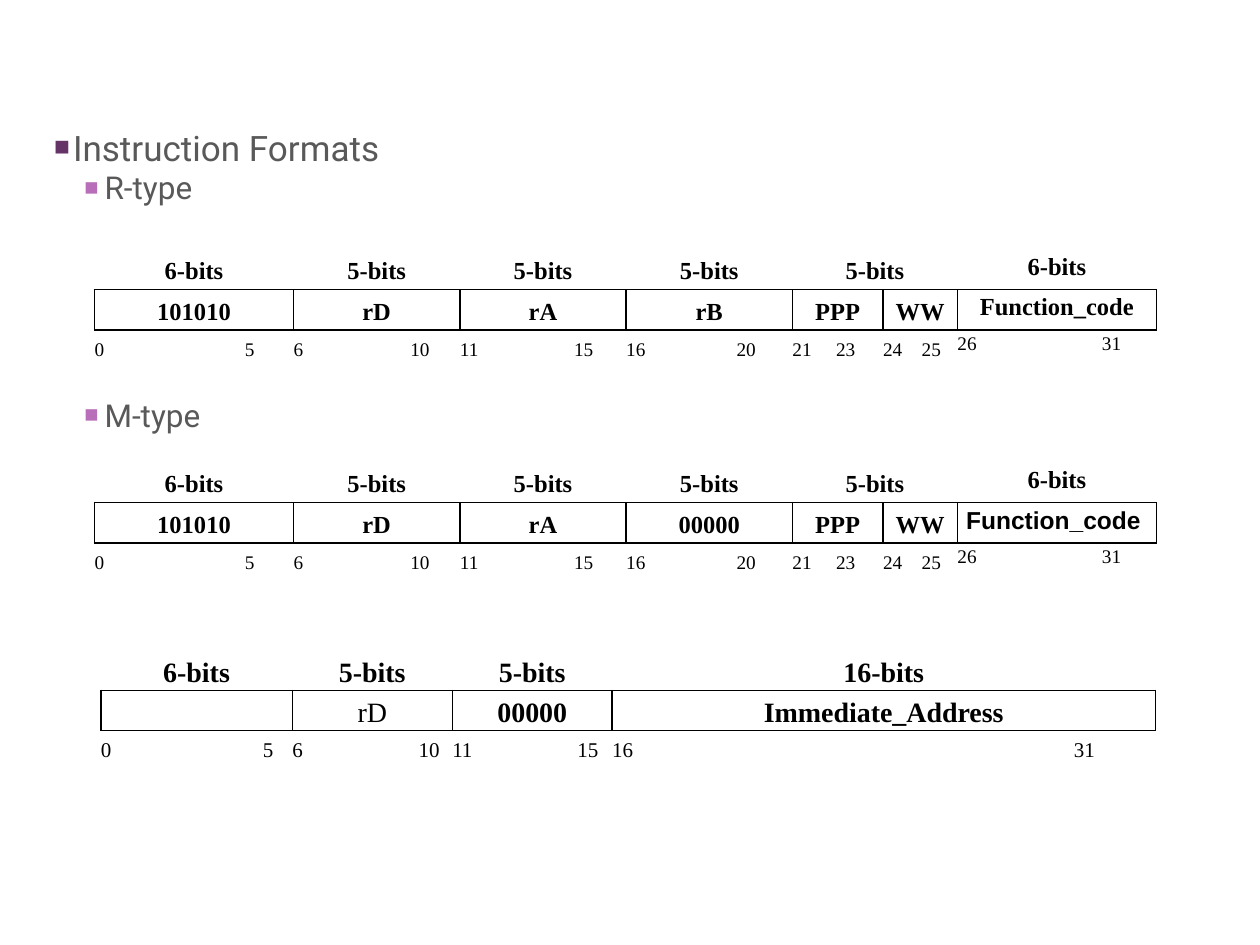
from lxml import etree
from pptx import Presentation
from pptx.dml.color import RGBColor
from pptx.enum import text
from pptx.oxml.ns import qn
from pptx.util import Inches, Pt

SERIF = "Times New Roman"
NO_STYLE = "{2D5ABB26-0587-4C30-8999-92F81FD0307C}"
ROW_HEIGHTS = (0.32, 0.32, 0.29)

# text, level, size, space before, left margin, indent, bullet colour
OUTLINE = [
    ("Instruction Formats", 0, 20, 0, 0.25, -0.15, "663366"),
    ("R-type", 1, 18, 0, 0.5, -0.16, "B86EB8"),
    ("M-type", 1, 18, 108.6, 0.5, -0.16, "B86EB8"),
]


def register_fields(third_operand):
    """Fields as (width, bit count, value, first bit, last bit, right edge of last bit)."""
    return [
        (1.58, "6-bits", "101010", 0, 5, 1.27),
        (1.32, "5-bits", "rD", 6, 10, 1.08),
        (1.32, "5-bits", "rA", 11, 15, 1.06),
        (1.32, "5-bits", third_operand, 16, 20, 1.03),
        (0.72, "5-bits", "PPP", 21, 23, 0.5),
        (0.59, None, "WW", 24, 25, 0.46),  # shares the bit count to its left
        (1.58, "6-bits", "Function_code", 26, 31, 1.3),
    ]


IMMEDIATE_FIELDS = [
    (1.52, "6-bits", "", 0, 5, 1.37),
    (1.27, "5-bits", "rD", 6, 10, 1.17),
    (1.27, "5-bits", "00000", 11, 15, 1.16),
    (4.31, "16-bits", "Immediate_Address", 16, 31, 3.83),
]

# left, top, label size, bit number size, fields
FORMATS = [
    (0.75, 1.98, 14, 11, register_fields("rB")),
    (0.8, 5.16, 16, 12, IMMEDIATE_FIELDS),
    (0.75, 3.67, 14, 11, register_fields("00000")),
]


def colour(value):
    return RGBColor.from_string(value)


def set_font(paragraph, name, size, value, bold=False):
    font = paragraph.font
    font.name, font.size, font.bold = name, Pt(size), bold
    font.color.rgb = colour(value)


def add_child(parent, tag, **attributes):
    return etree.SubElement(parent, qn(tag), attributes)


def set_bullet(paragraph, margin, indent, value):
    properties = paragraph._p.get_or_add_pPr()
    properties.set("marL", str(Inches(margin)))
    properties.set("indent", str(Inches(indent)))
    add_child(add_child(properties, "a:buClr"), "a:srgbClr", val=value)
    add_child(properties, "a:buSzPct", val="75000")
    add_child(properties, "a:buFont", typeface="Arial")
    add_child(properties, "a:buChar", char="■")


def set_borders(cell, sides):
    properties = cell._tc.get_or_add_tcPr()
    for side in sides:
        line = add_child(properties, f"a:ln{side}", w=str(Pt(1)))
        add_child(add_child(line, "a:solidFill"), "a:srgbClr", val="000000")


def fill_cell(cell, label, size, bold, alignment, borders):
    cell.margin_left = cell.margin_right = cell.margin_top = cell.margin_bottom = 0
    cell.vertical_anchor = text.MSO_ANCHOR.MIDDLE
    set_borders(cell, borders)
    cell.fill.background()
    paragraph = cell.text_frame.paragraphs[0]
    paragraph.text = label
    paragraph.alignment = alignment
    paragraph.line_spacing = 1.15
    set_font(paragraph, SERIF, size, "000000", bold)
    return paragraph


def add_format(slide, left, top, label_size, number_size, fields):
    width = sum(field[0] for field in fields)
    table = slide.shapes.add_table(
        3, len(fields), Inches(left), Inches(top), Inches(width), Inches(sum(ROW_HEIGHTS))
    ).table
    table.first_row = table.horz_banding = False
    table._tbl.tblPr.find(qn("a:tableStyleId")).text = NO_STYLE
    for row, height in zip(table.rows, ROW_HEIGHTS):
        row.height = Inches(height)

    center, justify = text.PP_ALIGN.CENTER, text.PP_ALIGN.JUSTIFY
    for column, (width, bits, value, first, last, edge) in enumerate(fields):
        table.columns[column].width = Inches(width)
        fill_cell(table.cell(0, column), bits or "", label_size, True, center, "B")
        fill_cell(table.cell(1, column), value, label_size, True, center, "LRTB")
        numbers = fill_cell(
            table.cell(2, column), f"{first}\t{last}", number_size, False, justify, "T"
        )
        stops = add_child(numbers._p.get_or_add_pPr(), "a:tabLst")
        add_child(stops, "a:tab", pos=str(Inches(edge)), algn="r")
        # tab stops come before the default run properties
        default_font = numbers._p.pPr.find(qn("a:defRPr"))
        if default_font is not None:
            default_font.addprevious(stops)
        if bits is None:
            table.cell(0, column - 1).merge(table.cell(0, column))
        if value == "Function_code":
            for row in range(3):
                table.cell(row, column).vertical_anchor = text.MSO_ANCHOR.TOP
    return table


def add_outline(body):
    body.left, body.top, body.width, body.height = map(Inches, (0.23, 0.9, 9.55, 6.08))
    frame = body.text_frame
    frame.auto_size = text.MSO_AUTO_SIZE.NONE
    frame.vertical_anchor = text.MSO_ANCHOR.TOP
    frame.margin_left = frame.margin_right = Inches(0.1)
    frame.margin_top = frame.margin_bottom = Inches(0.1)
    for index, (label, level, size, before, margin, indent, value) in enumerate(OUTLINE):
        paragraph = frame.add_paragraph() if index else frame.paragraphs[0]
        paragraph.text = label
        paragraph.level = level
        paragraph.space_before = Pt(before)
        set_bullet(paragraph, margin, indent, value)
        set_font(paragraph, "Roboto", size, "595959")


def main():
    presentation = Presentation()
    presentation.slide_width, presentation.slide_height = Inches(10), Inches(7.5)
    slide = presentation.slides.add_slide(presentation.slide_layouts[1])
    title = slide.shapes.title._element
    title.getparent().remove(title)
    add_outline(slide.placeholders[1])

    tables = [add_format(slide, *layout) for layout in FORMATS]
    _, immediate, memory = tables
    immediate.cell(1, 1).text_frame.paragraphs[0].font.bold = False
    function_code = memory.cell(1, 6).text_frame.paragraphs[0]
    function_code.text = "Function_code\u00a0"
    function_code.font.name = "Arial"

    presentation.save("out.pptx")


if __name__ == "__main__":
    main()
